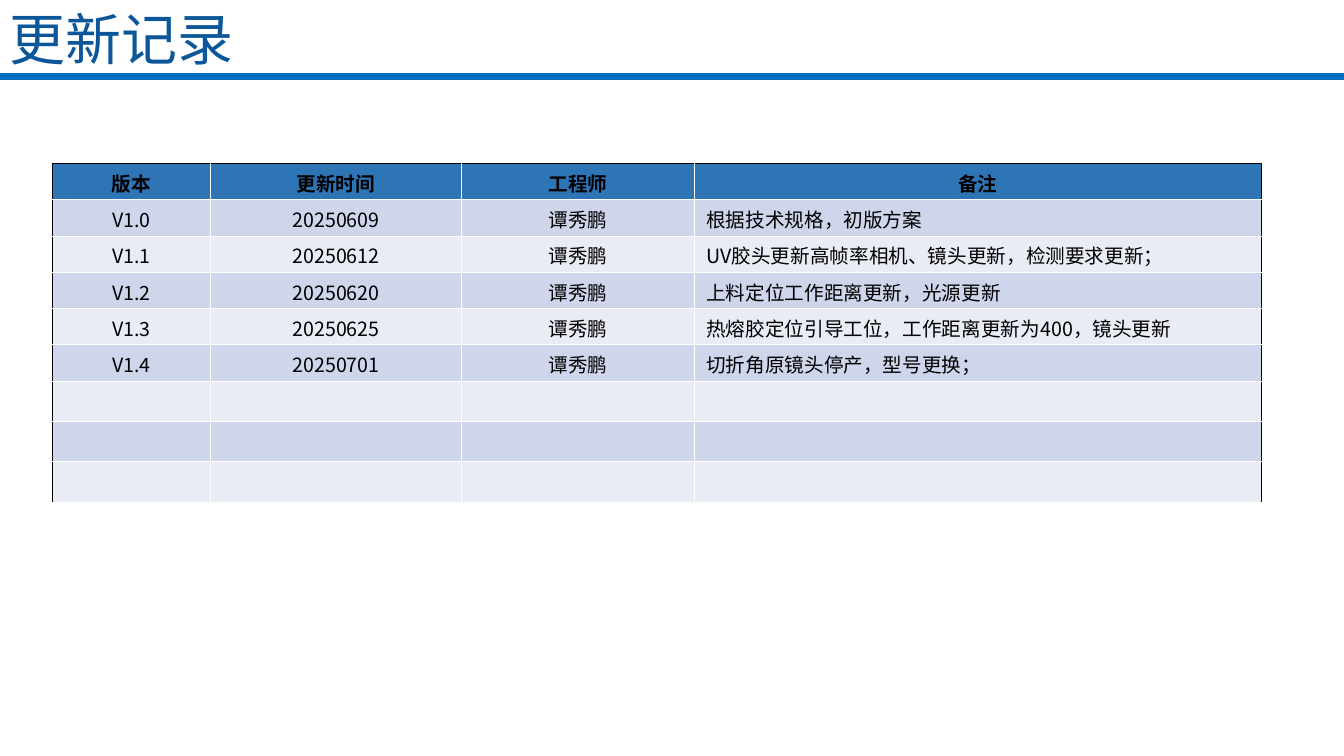
import dataclasses

import lxml.etree
import pptx
import pptx.dml.color
import pptx.enum.shapes
import pptx.enum.text
import pptx.oxml.ns
import pptx.util

ALIGN = pptx.enum.text.PP_ALIGN
MIDDLE = pptx.enum.text.MSO_ANCHOR.MIDDLE
qn = pptx.oxml.ns.qn


@dataclasses.dataclass(frozen=True)
class Theme:
    font: str = "Noto Sans CJK SC"
    title_size: float = 40
    table_size: float = 14
    thin: float = 0.45
    thick: float = 1.47
    rule_width: float = 4.75
    title: str = "0C5799"
    rule: str = "0070C0"
    text: str = "000000"
    header: str = "2E75B6"
    bands: tuple = ("CFD5EA", "E9EBF5")
    grid: str = "FFFFFF"
    frame: str = "000000"


THEME = Theme()
SLIDE_W = pptx.util.Inches(13.34)
SLIDE_H = pptx.util.Inches(7.5)

# Column widths and row height are percentages of the slide's size.
COLUMNS = (11.77, 18.67, 17.32, 42.2)
ROW_HEIGHT = 4.8
EMPTY_ROWS = 3
ENGINEER = "谭秀鹏"
HEADINGS = ("版本", "更新时间", "工程师", "备注")
UPDATES = (
    ("V1.0", "20250609", ENGINEER, "根据技术规格，初版方案"),
    ("V1.1", "20250612", ENGINEER, "UV胶头更新高帧率相机、镜头更新，检测要求更新；"),
    ("V1.2", "20250620", ENGINEER, "上料定位工作距离更新，光源更新"),
    ("V1.3", "20250625", ENGINEER, "热熔胶定位引导工位，工作距离更新为400，镜头更新"),
    ("V1.4", "20250701", ENGINEER, "切折角原镜头停产，型号更换；"),
)


def across(percent):
    return round(SLIDE_W * percent / 100)


def down(percent):
    return round(SLIDE_H * percent / 100)


def rgb(color):
    return pptx.dml.color.RGBColor.from_string(color)


def write(tf, text, *, size, color, bold=False, align=ALIGN.LEFT, spacing=None):
    p = tf.paragraphs[0]
    p.alignment = align
    p.line_spacing = spacing
    r = p.add_run()
    r.text = text
    r.font.size = pptx.util.Pt(size)
    r.font.bold = bold
    r.font.name = THEME.font
    r.font.color.rgb = rgb(color)
    east_asian = lxml.etree.SubElement(r.font._element, qn("a:ea"))
    east_asian.set("typeface", THEME.font)


def add_title(slide, text):
    sp = slide.shapes.add_textbox(0, down(1.73), across(90), down(7.73))
    tf = sp.text_frame
    tf.word_wrap = True
    tf.vertical_anchor = MIDDLE
    write(tf, text, size=THEME.title_size, color=THEME.title, spacing=0.9)


def add_rule(slide, y):
    line = slide.shapes.add_connector(
        pptx.enum.shapes.MSO_CONNECTOR.STRAIGHT, 0, down(y), SLIDE_W, down(y))
    line.line.color.rgb = rgb(THEME.rule)
    line.line.width = pptx.util.Pt(THEME.rule_width)
    lxml.etree.SubElement(line._element.spPr, qn("a:effectLst"))


def set_border(cell, side, color, width):
    """Draw one side of a cell; call in the order L, R, T, B, before the fill."""
    ln = lxml.etree.SubElement(cell._tc.get_or_add_tcPr(), qn(f"a:ln{side}"))
    ln.set("w", str(pptx.util.Pt(width)))
    fill = lxml.etree.SubElement(ln, qn("a:solidFill"))
    lxml.etree.SubElement(fill, qn("a:srgbClr")).set("val", color)


def style_cell(cell, row, col):
    last = len(COLUMNS) - 1
    set_border(cell, "L", THEME.frame if col == 0 else THEME.grid, THEME.thin)
    set_border(cell, "R", THEME.frame if col == last else THEME.grid, THEME.thin)
    set_border(cell, "T", THEME.frame if row == 0 else THEME.grid,
               THEME.thick if row == 1 else THEME.thin)
    set_border(cell, "B", THEME.grid, THEME.thick if row == 0 else THEME.thin)
    cell.fill.solid()
    cell.fill.fore_color.rgb = rgb(
        THEME.header if row == 0 else THEME.bands[(row - 1) % 2])
    cell.vertical_anchor = MIDDLE
    cell.margin_left = cell.margin_right = pptx.util.Inches(0.12)
    cell.margin_top = cell.margin_bottom = pptx.util.Inches(0.05)


def add_update_table(slide, left, top):
    blank = ("",) * len(COLUMNS)
    rows = (HEADINGS, *UPDATES, *(blank,) * EMPTY_ROWS)
    table = slide.shapes.add_table(
        len(rows), len(COLUMNS), across(left), down(top),
        across(sum(COLUMNS)), down(ROW_HEIGHT * len(rows))).table
    table.first_row = table.horz_banding = False
    for column, width in zip(table.columns, COLUMNS):
        column.width = across(width)
    for i, texts in enumerate(rows):
        table.rows[i].height = down(ROW_HEIGHT)
        for j, text in enumerate(texts):
            cell = table.cell(i, j)
            style_cell(cell, i, j)
            if text:
                is_note = i > 0 and j == len(COLUMNS) - 1
                write(cell.text_frame, text, size=THEME.table_size,
                      color=THEME.text, bold=i == 0,
                      align=ALIGN.LEFT if is_note else ALIGN.CENTER)


def main():
    prs = pptx.Presentation()
    prs.slide_width, prs.slide_height = SLIDE_W, SLIDE_H
    slide = prs.slides.add_slide(prs.slide_layouts[6])
    add_rule(slide, 10.13)
    add_title(slide, "更新记录")
    add_update_table(slide, 3.9, 21.6)
    prs.save("out.pptx")


if __name__ == "__main__":
    main()
